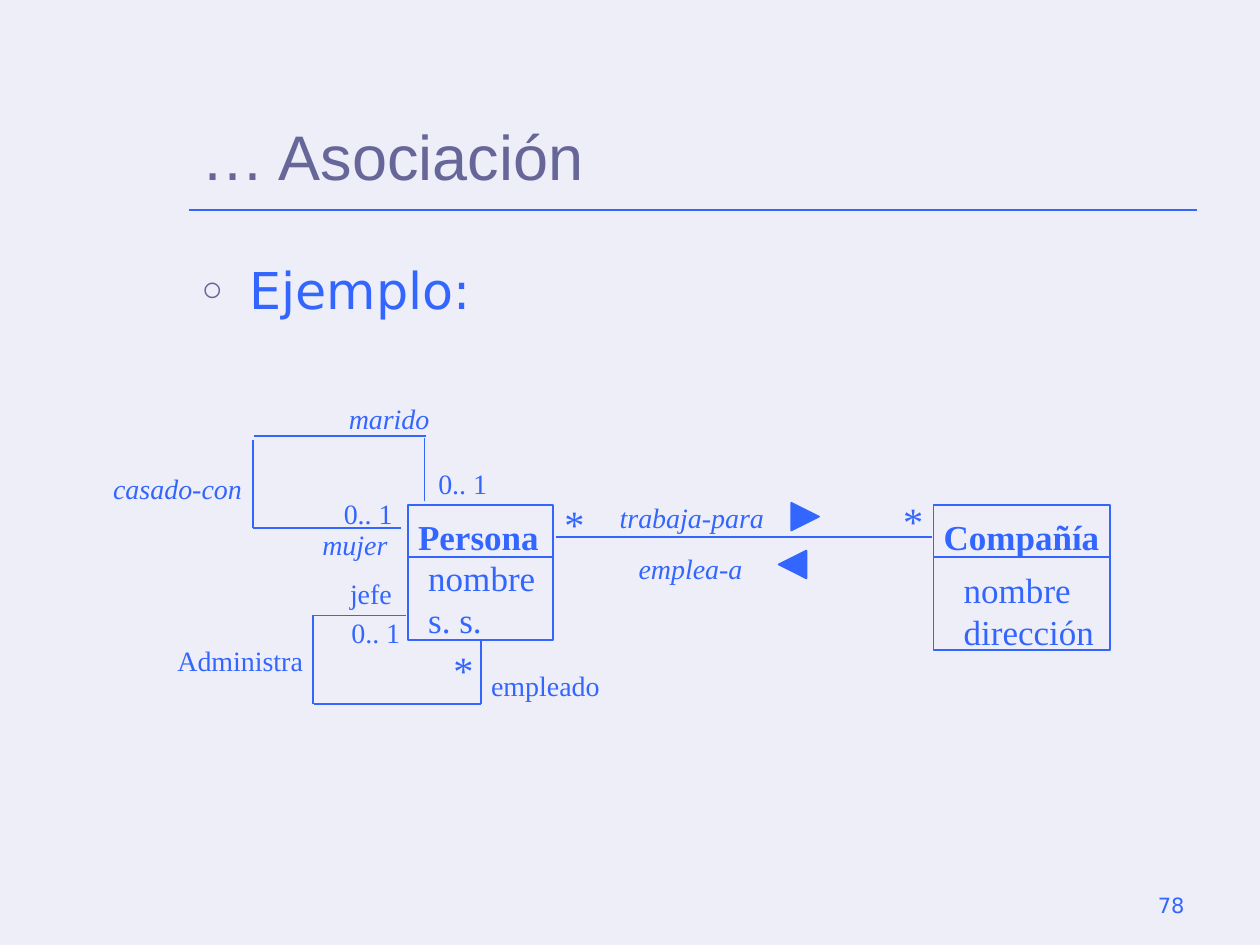
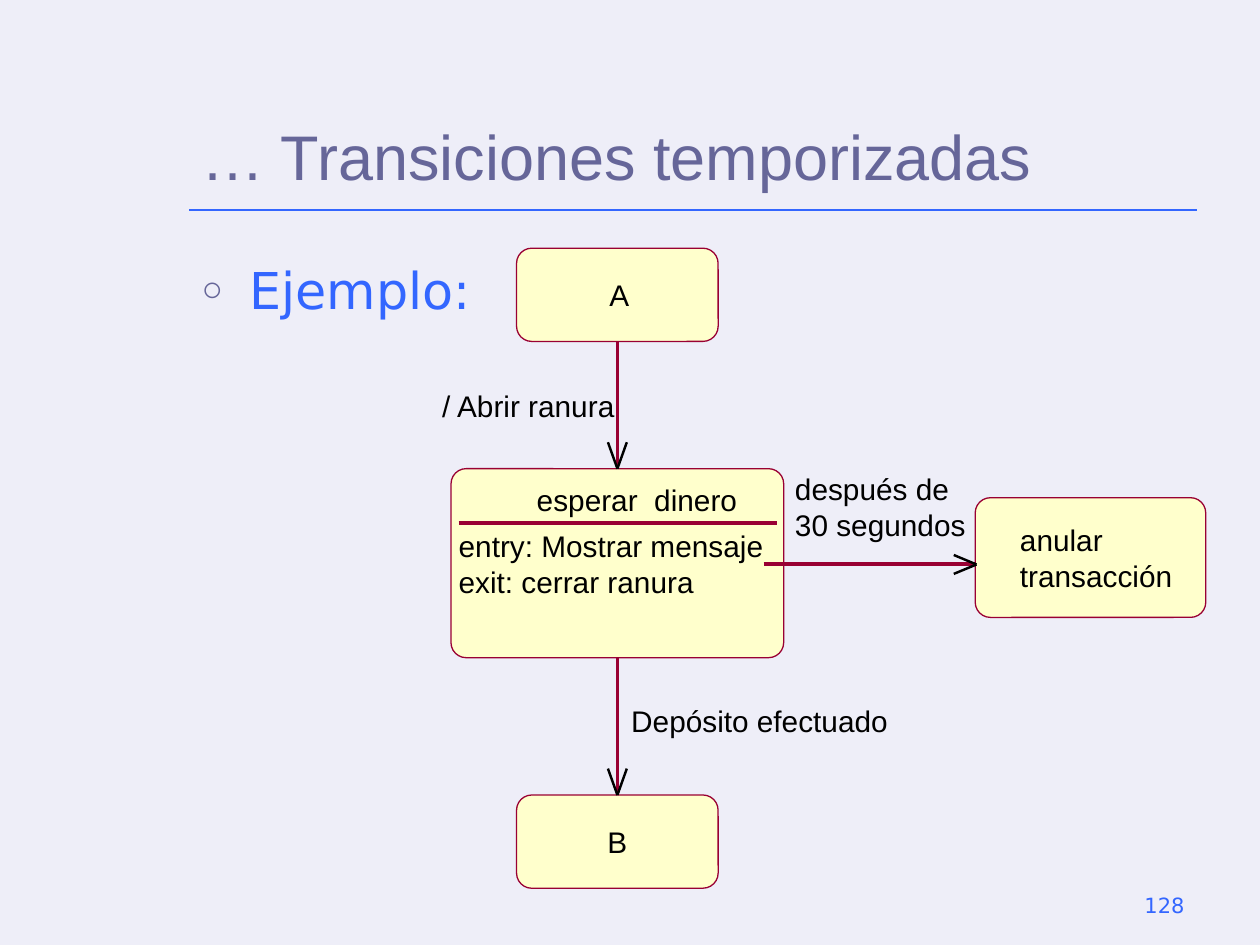
from lxml import etree
from pptx import Presentation
from pptx.dml.color import RGBColor
from pptx.enum.shapes import MSO_CONNECTOR, MSO_SHAPE
from pptx.enum.text import MSO_ANCHOR, MSO_AUTO_SIZE, PP_ALIGN
from pptx.oxml.ns import qn
from pptx.util import Inches, Pt

STRAIGHT = MSO_CONNECTOR.STRAIGHT
RECTANGLE = MSO_SHAPE.RECTANGLE
ROUNDED = MSO_SHAPE.ROUNDED_RECTANGLE
RIGHT_ARROW, LEFT_ARROW = MSO_SHAPE.RIGHT_ARROW, MSO_SHAPE.LEFT_ARROW
TOP, MIDDLE, BOTTOM = MSO_ANCHOR.TOP, MSO_ANCHOR.MIDDLE, MSO_ANCHOR.BOTTOM
LEFT, CENTER, RIGHT = PP_ALIGN.LEFT, PP_ALIGN.CENTER, PP_ALIGN.RIGHT
FIXED = MSO_AUTO_SIZE.NONE

COLUMNS, ROWS = 100, 75
CELL = Inches(10) / COLUMNS
BLUE, VIOLET, PAPER = "3366FF", "666699", "EEEEF8"
CREAM, WINE, BLACK = "FFFFCC", "990033", "000000"
SANS, BODY, SERIF = "Arial", "DejaVu Sans", "Times New Roman"


def grid(*cells):
    return [round(CELL * cell) for cell in cells]


def write(holder, text, font=SERIF, size=16, color=BLUE, bold=False, italic=False,
          align=LEFT, anchor=TOP, wrap=True, margins=(1, 0.5, 1, 0.5)):
    frame = holder.text_frame
    frame.auto_size = FIXED
    frame.word_wrap = wrap
    frame.vertical_anchor = anchor
    (frame.margin_left, frame.margin_top,
     frame.margin_right, frame.margin_bottom) = grid(*margins)
    frame.text = text
    for paragraph in frame.paragraphs:
        paragraph.alignment = align
        paragraph.space_before = Pt(0)
        for run in paragraph.runs:
            run.font.name = font
            run.font.size = Pt(size)
            run.font.bold = bold
            run.font.italic = italic
            run.font.color.rgb = RGBColor.from_string(color)


prs = Presentation()
prs.slide_width, prs.slide_height = grid(COLUMNS, ROWS)
background = prs.slide_master.background.fill
background.solid()
background.fore_color.rgb = RGBColor.from_string(PAPER)

strokes = []
pages = []
for heading, number in [("… Asociación", "78"), ("… Transiciones temporizadas", "128")]:
    slide = prs.slides.add_slide(prs.slide_layouts[1])
    pages.append(slide)
    title, body = slide.placeholders
    title.left, title.top, title.width, title.height = grid(15, 3.33, 80, 12.5)
    write(title, heading, font=SANS, size=36, color=VIOLET, anchor=BOTTOM)
    body.left, body.top, body.width, body.height = grid(15, 20, 80, 45)
    write(body, "Ejemplo:", font=BODY, size=29)
    bullet = body.text_frame.paragraphs[0]._p.get_or_add_pPr()
    indent = Inches(0.38)
    bullet.set("marL", str(indent))
    bullet.set("indent", str(-indent))
    bullet_color = etree.SubElement(bullet, qn("a:buClr"))
    etree.SubElement(bullet_color, qn("a:srgbClr")).set("val", VIOLET)
    etree.SubElement(bullet, qn("a:buSzPct")).set("val", "70000")
    etree.SubElement(bullet, qn("a:buChar")).set("char", "○")
    page_number = slide.shapes.add_textbox(*grid(71.67, 68.33, 23.33, 5))
    write(page_number, number, font=BODY, size=12, align=RIGHT, anchor=BOTTOM)
    strokes.append((slide, (15, 16.67, 95, 16.67), BLUE, 1, None))

association, timed = pages

for kind, place, fill in [
    (RECTANGLE, (32.4, 40.1, 11.5, 10.7), None),
    (RECTANGLE, (74.1, 40.1, 14, 11.5), None),
    (RIGHT_ARROW, (62.8, 39.9, 2.2, 2.2), BLUE),
    (LEFT_ARROW, (61.8, 43.7, 2.2, 2.2), BLUE),
]:
    symbol = association.shapes.add_shape(kind, *grid(*place))
    symbol.shadow.inherit = False
    symbol.line.color.rgb = RGBColor.from_string(BLUE)
    symbol.line.width = Pt(1)
    if fill:
        symbol.adjustments[0], symbol.adjustments[1] = 0.5, 1
        symbol.fill.solid()
        symbol.fill.fore_color.rgb = RGBColor.from_string(fill)
    else:
        symbol.fill.background()

works_for = [(44.1, 42.6, 74, 42.6)]
class_dividers = [(32.4, 44.2, 44, 44.2), (74.1, 44.2, 88.2, 44.2)]
manages = [(24.9, 55.9, 38.2, 55.9), (38.2, 55.9, 38.2, 50.9),
           (24.85, 55.9, 24.85, 48.85), (24.85, 48.85, 32.2, 48.85)]
married_to = [(33.7, 39.8, 33.7, 34.8), (20.2, 34.6, 33.8, 34.6),
              (20.1, 41.9, 20.1, 34.9), (20.1, 41.9, 31.8, 41.9)]
for points in works_for + class_dividers + manages + married_to:
    strokes.append((association, points, BLUE, 1, None))

class_name = dict(size=20, bold=True, wrap=False)
attributes = dict(size=20, wrap=False)
plain_role = dict(wrap=False)
italic_role = dict(italic=True)
many = dict(size=23)
for text, place, look in [
    ("Persona", (32.2, 40.4, 11.6, 4.3), class_name),
    ("Compañía", (73.9, 40.4, 14.4, 4.3), class_name),
    ("nombre\ns. s.", (33, 43.7, 10.5, 7.7), attributes),
    ("nombre\ndirección", (75.5, 44.6, 12.4, 7.7), attributes),
    ("trabaja-para", (48.2, 39.2, 15.4, 3.7), italic_role),
    ("emplea-a", (49.7, 43.3, 11.4, 3.7), italic_role),
    ("marido", (26.7, 31.4, 11.4, 3.7), italic_role),
    ("casado-con", (8, 36.9, 14.7, 3.7), italic_role),
    ("mujer", (24.6, 41.4, 11.4, 3.7), italic_role),
    ("jefe", (26.8, 45.3, 5.3, 3.7), plain_role),
    ("Administra", (13.1, 50.6, 12, 3.7), plain_role),
    ("empleado", (38, 52.6, 10.6, 3.7), plain_role),
    ("0.. 1", (33.8, 36.5, 6.2, 3.7), {}),
    ("0.. 1", (26.3, 38.9, 6.2, 3.7), {}),
    ("0.. 1", (26.9, 48.4, 6.2, 3.7), {}),
    ("*", (43.8, 39.1, 3.5, 4.8), many),
    ("*", (70.7, 38.9, 3.5, 4.8), many),
    ("*", (35, 50.7, 3.5, 4.8), many),
]:
    write(association.shapes.add_textbox(*grid(*place)), text, **look)

timed_text = dict(font=SANS, size=17, color=BLACK, wrap=False)
AXIS = 49
states = []
for text, place, corner, align, inset in [
    ("A", (AXIS - 8, 19.7, 16, 7.4), 0.163, CENTER, 0.3),
    ("", (AXIS - 13.2, 37.2, 26.4, 15), 0.08, LEFT, 0),
    ("B", (AXIS - 8, 63.1, 16, 7.4), 0.163, CENTER, 0),
    ("anular\ntransacción", (77.4, 39.5, 18.3, 9.5), 0.127, LEFT, 3.2),
]:
    state = timed.shapes.add_shape(ROUNDED, *grid(*place))
    state.shadow.inherit = False
    state.adjustments[0] = corner
    state.fill.solid()
    state.fill.fore_color.rgb = RGBColor.from_string(CREAM)
    state.line.color.rgb = RGBColor.from_string(WINE)
    state.line.width = Pt(0)
    if text:
        write(state, text, align=align, anchor=MIDDLE, margins=(inset, 0, 0, 0), **timed_text)
    states.append(state)

first, waiting, last, cancelled = states
strokes += [
    (timed, (AXIS, 27.1, AXIS, 37.2), WINE, 0, (first, waiting)),
    (timed, (AXIS, 52.2, AXIS, 63.1), WINE, 0, (waiting, last)),
    (timed, (36.4, 41.5, 61.7, 41.5), WINE, 0, None),
    (timed, (60.6, 44.75, 77.4, 44.75), WINE, 0, None),
]
for side in (-1, 1):
    for tip in (37.2, 63.1):
        strokes.append((timed, (AXIS, tip, AXIS + side * 0.75, tip - 2.1), BLACK, 1.39, None))
    strokes.append((timed, (77.5, 44.8, 75.7, 44.8 + side * 0.75), BLACK, 1.39, None))

for text, place in [
    ("esperar  dinero", (42.6, 38.2, 15.9, 2.8)),
    ("entry: Mostrar mensaje\nexit: cerrar ranura", (36.4, 41.9, 24.2, 5.7)),
    ("/ Abrir ranura", (35.1, 30.8, 13.7, 2.8)),
    ("Depósito efectuado", (50.1, 55.8, 20.4, 2.8)),
    ("después de\n30 segundos", (63.1, 37.4, 13.6, 5.7)),
]:
    write(timed.shapes.add_textbox(*grid(*place)), text, margins=(0, 0, 0, 0), **timed_text)

for slide, points, color, width, ends in strokes:
    stroke = slide.shapes.add_connector(STRAIGHT, *grid(*points))
    stroke.line.color.rgb = RGBColor.from_string(color)
    stroke.line.width = Pt(width)
    etree.SubElement(stroke._element.spPr, qn("a:effectLst"))
    if ends:
        source, target = ends
        stroke.begin_connect(source, 2)
        stroke.end_connect(target, 0)

prs.save("out.pptx")
